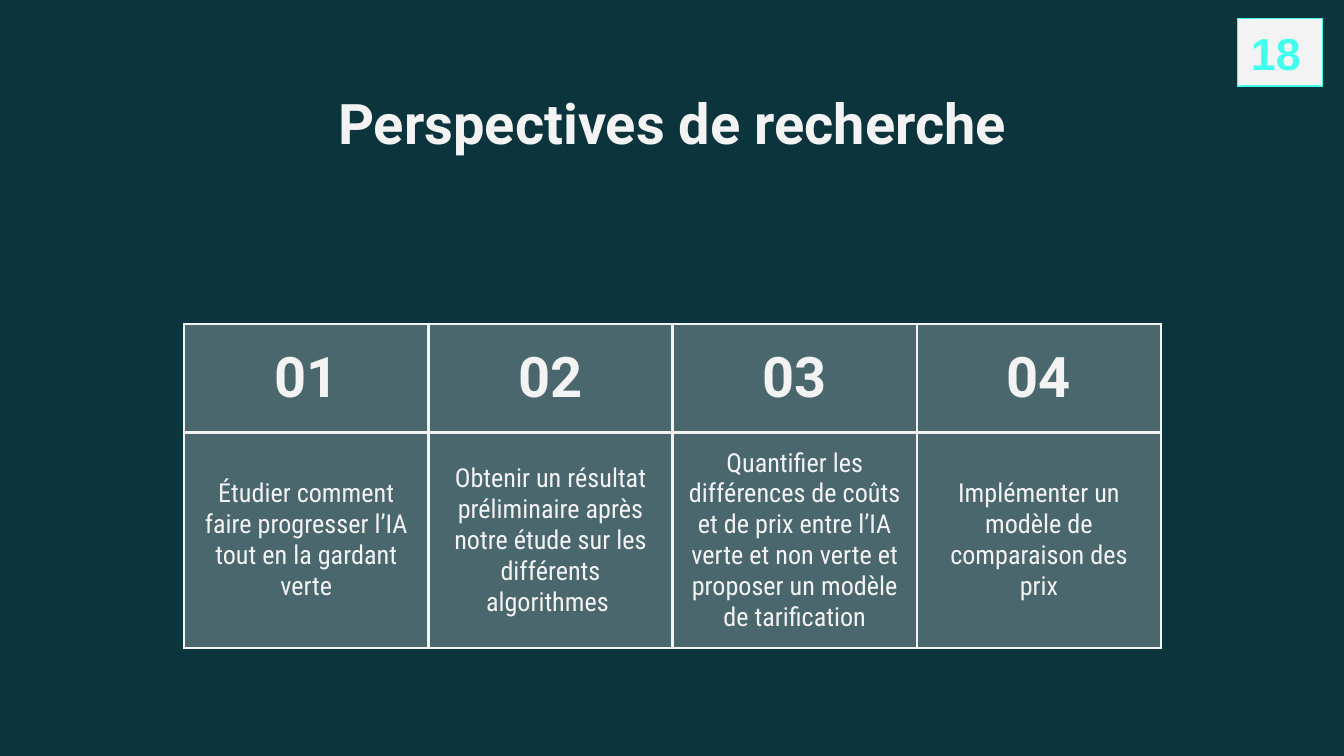
from pptx import Presentation
from pptx.dml.color import RGBColor
from pptx.enum import shapes, text
from pptx.oxml import parse_xml
from pptx.oxml.ns import nsdecls
from pptx.util import Inches, Pt

DARK = RGBColor(0x0C, 0x34, 0x3D)
LIGHT = RGBColor(0xF3, 0xF3, 0xF3)
AQUA = RGBColor(0x42, 0xFF, 0xEE)
CYAN = RGBColor(0x41, 0xFF, 0xED)

GOALS = [
    "Étudier comment faire progresser l’IA tout en la gardant verte",
    "Obtenir un résultat préliminaire après notre étude sur les différents algorithmes ",
    "Quantifier les différences de coûts et de prix entre l’IA verte et non verte "
    "et proposer un modèle de tarification",
    "Implémenter un modèle de comparaison des prix",
]


def write(frame, words, size, face, color, bold, align):
    frame.text = words
    para = frame.paragraphs[0]
    para.alignment = align
    font = para.runs[0].font
    font.size = Pt(size)
    font.name = face
    font.bold = bold
    font.color.rgb = color


def style(cell):
    cell.vertical_anchor = text.MSO_ANCHOR.MIDDLE
    cell.margin_left = cell.margin_right = Inches(0.1)
    cell.margin_top = cell.margin_bottom = Inches(0.1)
    props = cell._tc.get_or_add_tcPr()
    for side in ("lnL", "lnR", "lnT", "lnB"):
        props.append(parse_xml(
            f'<a:{side} {nsdecls("a")} w="{Pt(1.5)}"><a:solidFill>'
            f'<a:srgbClr val="{LIGHT}"/></a:solidFill></a:{side}>'))
    props.append(parse_xml(
        f'<a:solidFill {nsdecls("a")}><a:srgbClr val="{LIGHT}">'
        '<a:alpha val="27000"/></a:srgbClr></a:solidFill>'))


deck = Presentation()
deck.slide_width = Inches(10)
deck.slide_height = Inches(10) * 9 // 16
slide = deck.slides.add_slide(deck.slide_layouts[6])
slide.background.fill.solid()
slide.background.fill.fore_color.rgb = DARK

title = slide.shapes.add_textbox(Inches(0.79), Inches(0.56), Inches(8.43), Inches(0.63))
frame = title.text_frame
frame.word_wrap = True
frame.margin_left = frame.margin_right = Inches(0.1)
frame.margin_top = frame.margin_bottom = Inches(0.1)
write(frame, "Perspectives de recherche", 30, "Roboto", LIGHT, True, text.PP_ALIGN.CENTER)

holder = slide.shapes.add_table(2, len(GOALS), Inches(1.37), Inches(2.41), Inches(7.27), Inches(2.41))
grid = holder.table
grid.first_row = False
grid.horz_banding = False
grid.rows[0].height = Inches(0.81)
grid.rows[1].height = Inches(1.04)
holder.height = Inches(2.41)
for col, goal in enumerate(GOALS):
    head, body = grid.cell(0, col), grid.cell(1, col)
    write(head.text_frame, f"{col + 1:02}", 30, "Roboto", LIGHT, True, text.PP_ALIGN.CENTER)
    write(body.text_frame, goal, 14, "Roboto Condensed", LIGHT, False, text.PP_ALIGN.CENTER)
    style(head)
    style(body)

badge = slide.shapes.add_shape(
    shapes.MSO_SHAPE.RECTANGLE, Inches(9.21), Inches(0.14), Inches(0.63), Inches(0.5))
badge.shadow.inherit = False
badge.fill.solid()
badge.fill.fore_color.rgb = LIGHT
badge.line.color.rgb = AQUA
badge.line.width = Pt(0.75)
badge.text_frame.vertical_anchor = text.MSO_ANCHOR.MIDDLE
write(badge.text_frame, "18", 24, "Arial", CYAN, True, text.PP_ALIGN.LEFT)

deck.save("out.pptx")
